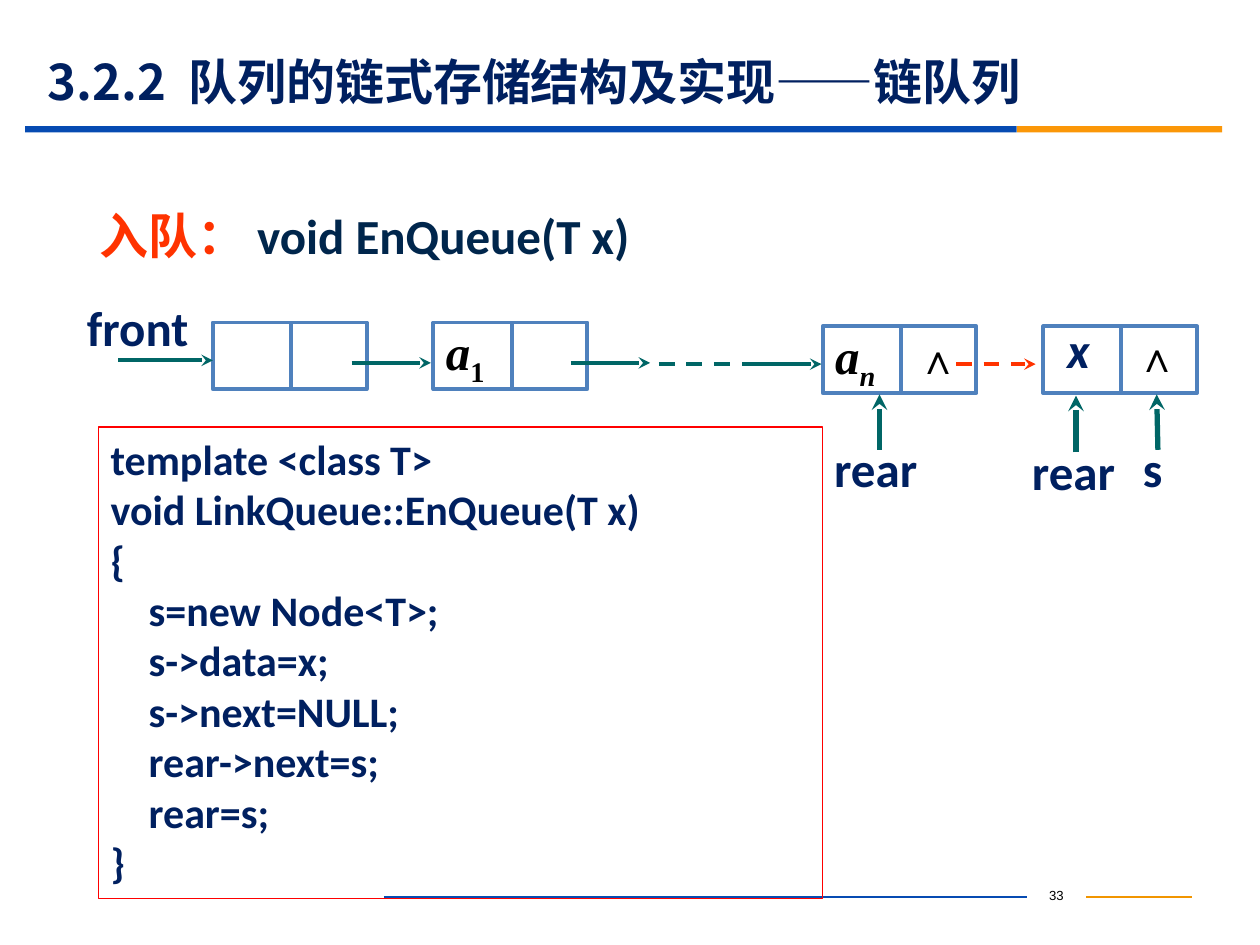
from dataclasses import dataclass
from typing import Optional

from lxml import etree
from pptx import Presentation
from pptx import util as u
from pptx.dml.color import RGBColor
from pptx.enum import dml, shapes, text
from pptx.oxml.ns import qn

WIDTH, HEIGHT = u.Inches(10), u.Inches(7.5)
COLUMNS, ROWS = 100, 75
NAVY, TEAL, STEEL, RED = "002060", "006666", "4F81BD", "FF3300"
BLUE, ORANGE, BLACK, WHITE = "064BB2", "FB9708", "000000", "FFFFFF"
CJK, SANS, SERIF = "Noto Sans CJK SC", "Calibri", "Times New Roman"
LEFT, JUSTIFY = text.PP_ALIGN.LEFT, text.PP_ALIGN.JUSTIFY
NODE_W, NODE_H, DIVIDER = 12.2, 5.3, 6.2


@dataclass
class Span:
    words: str
    font: str = SANS
    size: float = 28
    color: str = NAVY
    bold: bool = True
    italic: bool = False
    subscript: bool = False


@dataclass
class Line:
    x1: float
    y1: float
    x2: float
    y2: float
    color: str = TEAL
    weight: float = 2.25
    arrow: bool = True
    dashed: bool = False


@dataclass
class Node:
    column: float
    row: float
    spans: tuple = ()
    inset: float = 1


@dataclass
class Pointer:
    name: str
    column: float
    row: float
    width: float
    tip_column: float
    tip_row: float
    centred: bool = False


def col(n: float) -> int:
    return int(WIDTH * n / COLUMNS)


def row(n: float) -> int:
    return int(HEIGHT * n / ROWS)


def rgb(value: str) -> RGBColor:
    return RGBColor.from_string(value)


def place(box, x: float, y: float, w: float, h: float) -> None:
    box.left, box.top, box.width, box.height = col(x), row(y), col(w), row(h)


def add_span(para, span: Span) -> None:
    run = para.add_run()
    run.text = span.words
    font = run.font
    font.name, font.size = span.font, u.Pt(span.size)
    font.bold, font.italic = span.bold, span.italic
    font.color.rgb = rgb(span.color)
    properties = font._element
    etree.SubElement(properties, qn("a:ea")).set("typeface", span.font)
    if span.subscript:
        properties.set("baseline", "-25000")


def write(box, lines, insets=(1, 0.5, 1, 0.5), align=LEFT, spacing=None,
          anchor=text.MSO_ANCHOR.TOP) -> None:
    """Fill a box with lines of spans; insets are left, top, right, bottom."""
    frame = box.text_frame
    frame.word_wrap = True
    frame.vertical_anchor = anchor
    frame.margin_left, frame.margin_right = col(insets[0]), col(insets[2])
    frame.margin_top, frame.margin_bottom = row(insets[1]), row(insets[3])
    for index, spans in enumerate(lines):
        para = frame.add_paragraph() if index else frame.paragraphs[0]
        para.alignment = align
        if spacing:
            para.line_spacing = spacing
        for span in spans:
            add_span(para, span)


def add_label(page, x, y, w, h, spans, **style):
    box = page.shapes.add_textbox(col(x), row(y), col(w), row(h))
    write(box, [spans], **style)
    return box


def add_box(page, x, y, w, h, fill: Optional[str] = None,
            line: Optional[str] = None, weight: float = 2.25):
    box = page.shapes.add_shape(shapes.MSO_SHAPE.RECTANGLE,
                                col(x), row(y), col(w), row(h))
    box.shadow.inherit = False
    if fill:
        box.fill.solid()
        box.fill.fore_color.rgb = rgb(fill)
    else:
        box.fill.background()
    if line:
        box.line.color.rgb = rgb(line)
        box.line.width = u.Pt(weight)
    else:
        box.line.fill.background()
    return box


def add_line(page, line: Line):
    link = page.shapes.add_connector(
        shapes.MSO_CONNECTOR.STRAIGHT,
        col(line.x1), row(line.y1), col(line.x2), row(line.y2))
    link.line.color.rgb = rgb(line.color)
    link.line.width = u.Pt(line.weight)
    if line.dashed:
        link.line.dash_style = dml.MSO_LINE.DASH
    if line.arrow:
        outline = link.line._get_or_add_ln()
        etree.SubElement(outline, qn("a:tailEnd")).set("type", "stealth")
    etree.SubElement(link._element.spPr, qn("a:effectLst"))
    return link


def add_node(page, node: Node) -> None:
    box = add_box(page, node.column, node.row, NODE_W, NODE_H, WHITE, STEEL)
    if node.spans:
        write(box, [node.spans], (node.inset, 0, 0, 0.8), spacing=0.9)
    middle = node.column + DIVIDER
    add_line(page, Line(middle, node.row, middle, node.row + 5.1, STEEL, arrow=False))


def add_pointer(page, pointer: Pointer) -> None:
    label = add_label(page, pointer.column, pointer.row, pointer.width, 3.5,
                      [Span(pointer.name)], insets=(0, 0, 0, 0),
                      align=JUSTIFY, spacing=0.8)
    arrow = add_line(page, Line(pointer.tip_column, pointer.row,
                                pointer.tip_column, pointer.tip_row, weight=3))
    if pointer.centred:
        arrow.begin_connect(label, 0)


def item(letter: str, index: str, italic: bool) -> tuple:
    return (Span(letter, SERIF, color=BLACK, italic=True),
            Span(index, SERIF, color=BLACK, italic=italic, subscript=True))


NODES = [
    Node(16.9, 25.6),
    Node(34.4, 25.6, item("a", "1", False)),
    Node(65.3, 25.9, item("a", "n", True)),
    Node(82.8, 25.9, (Span("x", italic=True),), inset=1.9),
]
LINKS = [
    Line(9.4, 28.6, 16.9, 28.6),
    Line(27.9, 28.8, 34.2, 28.8),
    Line(45.3, 28.8, 51.6, 28.8),
    Line(52.3, 28.9, 58.5, 28.9, arrow=False, dashed=True),
    Line(58.9, 28.9, 65.2, 28.9),
    Line(75.9, 28.9, 82.2, 28.9, RED, dashed=True),
]
POINTERS = [
    Pointer("rear", 66.2, 35.7, 8.5, 69.8, 31.3),
    Pointer("rear", 81.9, 35.9, 8.5, 85.4, 31.4),
    Pointer("s", 90.7, 35.7, 2.4, 91.8, 31.3, centred=True),
]
CODE = """template <class T>
void LinkQueue::EnQueue(T x)
{
    s=new Node<T>;
    s->data=x;
    s->next=NULL;
    rear->next=s;
    rear=s;
}"""


def main() -> None:
    deck = Presentation()
    deck.slide_width, deck.slide_height = WIDTH, HEIGHT
    page = deck.slides.add_slide(deck.slide_layouts[5])

    # Title and its two-colour rule
    title = page.shapes.title
    place(title, 2.8, 4.3, 90, 4.3)
    write(title, [[Span("3.2.2  队列的链式存储结构及实现——链队列", CJK)]],
          anchor=text.MSO_ANCHOR.MIDDLE)
    add_box(page, 2, 10, 78.7, 0.5, BLUE)
    add_box(page, 80.7, 10, 16.3, 0.5, ORANGE)

    # Footer rules and page number
    add_line(page, Line(30.5, 71.2, 81.5, 71.2, BLUE, 0.75, arrow=False))
    add_line(page, Line(86.2, 71.2, 94.6, 71.2, "F19500", 0.75, arrow=False))
    add_label(page, 81.5, 69.9, 4.7, 2.5, [Span("33", "Arial", 7.5, BLACK, False)],
              align=text.PP_ALIGN.CENTER)

    # Operation heading
    add_label(page, 6.9, 15.8, 60, 5.7,
              [Span("入队： ", CJK, color=RED), Span("void EnQueue(T x)", color="00264C")])

    # Linked queue
    add_label(page, 6.9, 23.6, 9.5, 5.1, [Span("front")], insets=(0, 0, 0, 0.4))
    for node in NODES:
        add_node(page, node)
    for column, top in ((71.8, 25.9), (89.2, 25.7)):
        add_label(page, column, top, 5.7, 4.9, [Span("∧", SERIF, 24, BLACK)])
    for link in LINKS:
        add_line(page, link)
    for pointer in POINTERS:
        add_pointer(page, pointer)

    # Code listing
    listing = add_box(page, 7.8, 33.9, 57.5, 37.4, line="FF0000", weight=0.75)
    write(listing, [[Span(code, size=24)] for code in CODE.split("\n")], align=JUSTIFY)

    deck.save("out.pptx")


if __name__ == "__main__":
    main()
